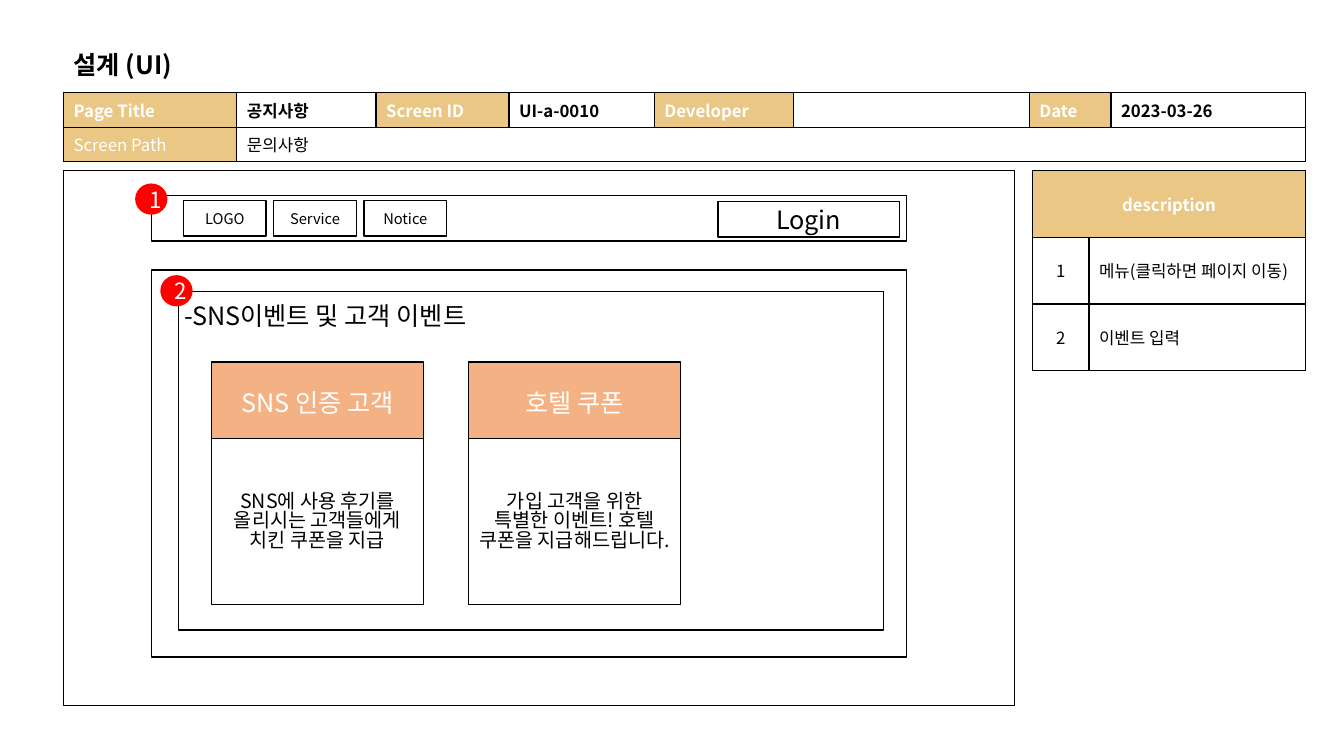
from dataclasses import dataclass
from typing import Optional

from lxml.etree import SubElement
from pptx import Presentation
from pptx.dml.color import RGBColor
from pptx.enum.shapes import MSO_SHAPE as Shape
from pptx.enum.text import MSO_ANCHOR as Anchor, PP_ALIGN as Align
from pptx.oxml.ns import qn
from pptx.util import Inches, Pt

FONT = "Noto Sans CJK KR"
COLORS = {"black": "000000", "white": "FFFFFF", "gold": "EAC784",
          "orange": "F4B183", "red": "FF0000"}
GRID = Inches(0.1)  # one column or row of the slide grid


@dataclass
class Box:
    col: float
    row: float
    cols: float
    rows: float
    fill: Optional[str] = None
    line: Optional[str] = "black"
    kind: Shape = Shape.RECTANGLE


@dataclass
class Label:
    text: str
    size: float = 12
    color: str = "black"
    bold: bool = False
    align: Align = Align.LEFT
    spacing: Optional[float] = None


@dataclass
class Cell:
    label: Label
    fill: str = "white"
    span: int = 1


@dataclass
class Card:
    col: float
    title: str
    body: str


def g(units: float) -> int:
    return round(units * GRID)


def rgb(name: str) -> RGBColor:
    return RGBColor.from_string(COLORS[name])


def write(tf, label: Label) -> None:
    p = tf.paragraphs[0]
    p.alignment = label.align
    if label.spacing:
        p.line_spacing = label.spacing
    if label.text:
        r = p.add_run()
        r.text = label.text
        r.font.size = Pt(label.size)
        r.font.name = FONT
        r.font.bold = label.bold
        r.font.color.rgb = rgb(label.color)
        SubElement(r.font._element, qn("a:ea"), typeface=FONT)
    else:
        p._p.get_or_add_endParaRPr().set("sz", str(int(label.size * 100)))


def draw_box(slide, box: Box, label: Optional[Label] = None,
             top: Optional[float] = None, indent: float = 0):
    sp = slide.shapes.add_shape(box.kind, g(box.col), g(box.row), g(box.cols), g(box.rows))
    sp.shadow.inherit = False
    if box.fill:
        sp.fill.solid()
        sp.fill.fore_color.rgb = rgb(box.fill)
    else:
        sp.fill.background()
    if box.line:
        sp.line.color.rgb = rgb(box.line)
        sp.line.width = Pt(1)
    else:
        sp.line.fill.background()
    if label:
        tf = sp.text_frame
        tf.word_wrap = True
        tf.vertical_anchor = Anchor.MIDDLE
        if top is not None:
            tf.vertical_anchor = Anchor.TOP
            tf.margin_top = g(top)
        if indent:
            tf.margin_left = g(1 + indent)
        write(tf, label)
    return sp


def draw_badge(slide, col: float, row: float, number: int) -> None:
    draw_box(slide, Box(col, row, 3.2, 3.1, "red", None, Shape.OVAL),
             Label(str(number), 16, "white", align=Align.CENTER))


def draw_card(slide, card: Card) -> None:
    draw_box(slide, Box(card.col, 35.9, 21, 24.1, "orange"),
             Label(card.title, 18, "white", align=Align.CENTER), top=2.5)
    draw_box(slide, Box(card.col, 43.5, 21, 16.5, "white"),
             Label(card.body, 14, align=Align.CENTER, spacing=0.83))


def format_cell(tc, cell: Cell, anchor: Anchor) -> None:
    tc.vertical_anchor = anchor
    tcPr = tc._tc.get_or_add_tcPr()
    for side in ("a:lnL", "a:lnR", "a:lnT", "a:lnB"):
        ln = SubElement(tcPr, qn(side), w=str(Pt(1)))
        SubElement(SubElement(ln, qn("a:solidFill")), qn("a:srgbClr"), val=COLORS["black"])
    tc.fill.solid()
    tc.fill.fore_color.rgb = rgb(cell.fill)
    write(tc.text_frame, cell.label)


def draw_table(slide, col: float, row: float, widths: list[float], height: float,
               rows: list[list[Cell]], anchor: Anchor) -> None:
    frame = slide.shapes.add_table(len(rows), len(widths), g(col), g(row),
                                   g(sum(widths)), g(height * len(rows)))
    table = frame.table
    for column, width in zip(table.columns, widths):
        column.width = g(width)
    for i, cells in enumerate(rows):
        table.rows[i].height = g(height)
        j = 0
        for cell in cells:
            if cell.span > 1:
                table.cell(i, j).merge(table.cell(i, j + cell.span - 1))
            for k in range(cell.span):
                part = cell if k == 0 else Cell(Label(""), cell.fill)
                format_cell(table.cell(i, j + k), part, anchor)
            j += cell.span


def head(text: str, bold: bool = True, align: Align = Align.LEFT, span: int = 1) -> Cell:
    return Cell(Label(text, color="white", bold=bold, align=align), "gold", span)


def value(text: str, bold: bool = False, align: Align = Align.LEFT, span: int = 1) -> Cell:
    return Cell(Label(text, bold=bold, align=align), span=span)


def main() -> None:
    prs = Presentation()
    prs.slide_width, prs.slide_height = Inches(13.33), Inches(7.5)
    slide = prs.slides.add_slide(prs.slide_layouts[5])

    # Title
    title = slide.shapes.title
    title.left, title.top, title.width, title.height = g(6.3), g(4.4), g(12.8), g(4)
    title.text_frame.word_wrap = False
    title.text_frame.vertical_anchor = Anchor.MIDDLE
    write(title.text_frame, Label("설계 (UI)", 18, bold=True))

    # Screen information
    fields = [("Page Title", "공지사항"), ("Screen ID", "UI-a-0010"),
              ("Developer", ""), ("Date", "2023-03-26")]
    info = [cell for name, text in fields for cell in (head(name), value(text, bold=True))]
    draw_table(slide, 6.3, 9.2, [17.2, 13.8, 13.2, 14.4, 13.8, 23.4, 8.1, 19.3], 3.15,
               [info, [head("Screen Path", bold=False), value("문의사항", span=7)]], Anchor.TOP)

    # Screen frame and menu bar
    draw_box(slide, Box(6.3, 16.9, 94.3, 53.1, "white"))
    draw_box(slide, Box(15, 19.4, 74.9, 4.5))
    for i, name in enumerate(["LOGO", "Service", "Notice"]):
        draw_box(slide, Box(18.2 + 8.95 * i, 19.9, 8.2, 3.5),
                 Label(name, 10.5, align=Align.CENTER))
    draw_box(slide, Box(71.2, 20, 18, 3.5), Label("Login", 18, align=Align.CENTER))
    draw_badge(slide, 13.4, 18.2, 1)

    # Event panel
    draw_box(slide, Box(15, 26.8, 74.9, 38.4, "white"),
             Label("-SNS이벤트 및 고객 이벤트", 18), top=2.95, indent=2.25)
    draw_box(slide, Box(17.7, 28.9, 69.9, 33.6))
    draw_badge(slide, 15.9, 27.3, 2)
    for card in (Card(21, "SNS 인증 고객", "SNS에 사용 후기를 올리시는 고객들에게 치킨 쿠폰을 지급"),
                 Card(46.5, "호텔 쿠폰", "가입 고객을 위한 특별한 이벤트! 호텔 쿠폰을 지급해드립니다.")):
        draw_card(slide, card)

    # Description
    notes = ["메뉴(클릭하면 페이지 이동)", "이벤트 입력"]
    rows = [[head("description", align=Align.CENTER, span=2)]]
    rows += [[value(str(n), align=Align.CENTER), value(text)] for n, text in enumerate(notes, 1)]
    draw_table(slide, 102.4, 16.9, [5.6, 21.5], 6.63, rows, Anchor.MIDDLE)

    prs.save("out.pptx")


if __name__ == "__main__":
    main()
